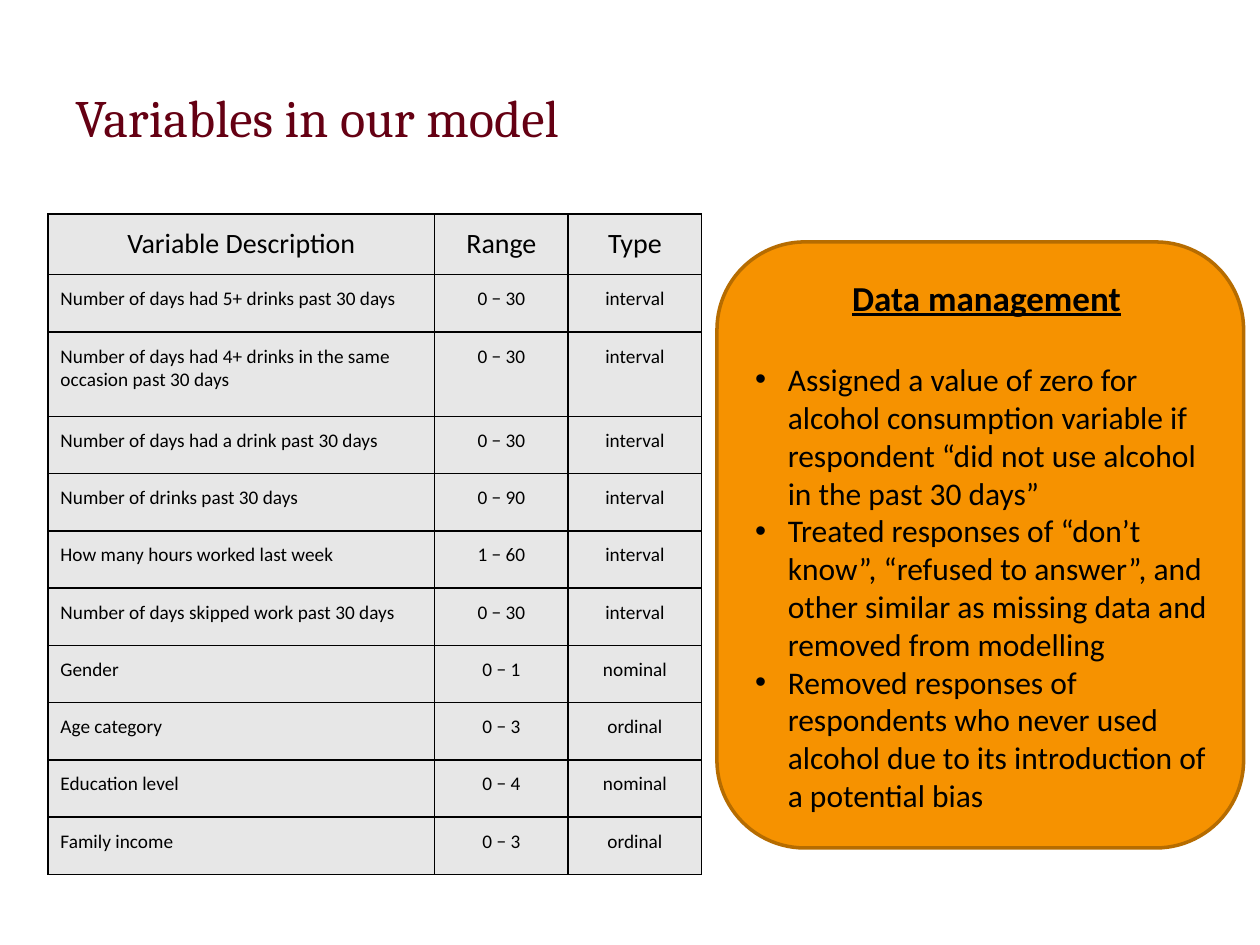
"""Build a slide listing model variables beside data management notes."""
from dataclasses import dataclass

from lxml.etree import SubElement
from pptx import Presentation
from pptx.dml.color import RGBColor
from pptx.enum.shapes import MSO_SHAPE
from pptx.enum.text import MSO_ANCHOR, PP_ALIGN
from pptx.oxml.ns import qn
from pptx.util import Inches, Pt

COLORS = {
    "title": "650013",
    "text": "000000",
    "cell": "E7E7E7",
    "border": "000000",
    "panel": "F69200",
    "panel_line": "B66C00",
}


@dataclass
class Variable:
    description: str
    span: str
    kind: str
    height: float = (5.24 - 0.48 - 0.67) / 9
    size: int = 11


VARIABLES = [
    Variable("Variable Description", "Range", "Type", 0.48, 16),
    Variable("Number of days had 5+ drinks past 30 days", "0 − 30", "interval"),
    Variable("Number of days had 4+ drinks in the same occasion past 30 days",
             "0 − 30", "interval", 0.67),
    Variable("Number of days had a drink past 30 days", "0 − 30", "interval"),
    Variable("Number of drinks past 30 days", "0 − 90", "interval"),
    Variable("How many hours worked last week", "1 − 60", "interval"),
    Variable("Number of days skipped work past 30 days", "0 − 30", "interval"),
    Variable("Gender", "0 − 1", "nominal"),
    Variable("Age category", "0 − 3", "ordinal"),
    Variable("Education level", "0 − 4", "nominal"),
    Variable("Family income", "0 − 3", "ordinal"),
]
COLUMN_WIDTHS = [3.07, 1.06, 1.06]
NOTES = [
    "Assigned a value of zero for alcohol consumption variable if respondent "
    "“did not use alcohol in the past 30 days”",
    "Treated responses of “don’t know”, “refused to answer”, and other similar "
    "as missing data and removed from modelling",
    "Removed responses of respondents who never used alcohol due to its "
    "introduction of a potential bias",
]


def color(name: str) -> RGBColor:
    return RGBColor.from_string(COLORS[name])


def write(para, text: str, size: int, align=PP_ALIGN.LEFT, font: str = "Calibri",
          ink: str = "text", strong: bool = False) -> None:
    para.text = text
    para.alignment = align
    for span in para.runs:
        span.font.name = font
        span.font.size = Pt(size)
        span.font.color.rgb = color(ink)
        span.font.bold = strong
        span.font.underline = strong


def add_borders(cell) -> None:
    properties = cell._tc.get_or_add_tcPr()
    for position, side in enumerate(("lnL", "lnR", "lnT", "lnB")):
        line = SubElement(properties, qn(f"a:{side}"), w=str(Pt(1)))
        fill = SubElement(line, qn("a:solidFill"))
        SubElement(fill, qn("a:srgbClr"), val=COLORS["border"])
        properties.insert(position, line)


def add_bullet(para) -> None:
    properties = para._p.get_or_add_pPr()
    properties.set("marL", str(Inches(0.26)))
    properties.set("indent", str(Inches(-0.26)))
    SubElement(properties, qn("a:buFont"), typeface="Arial")
    SubElement(properties, qn("a:buChar"), char="•")


def add_title(page) -> None:
    box = page.shapes.add_textbox(Inches(0.5), Inches(0.3), Inches(9), Inches(1.25))
    frame = box.text_frame
    frame.word_wrap = True
    frame.vertical_anchor = MSO_ANCHOR.MIDDLE
    write(frame.paragraphs[0], "Variables in our model", 30, font="Cambria", ink="title")


def add_variables(page) -> None:
    table = page.shapes.add_table(
        len(VARIABLES), len(COLUMN_WIDTHS),
        Inches(0.38), Inches(1.7), Inches(5.2), Inches(5.24)).table
    for column, width in zip(table.columns, COLUMN_WIDTHS):
        column.width = Inches(width)
    for index, (row, variable) in enumerate(zip(table.rows, VARIABLES)):
        row.height = Inches(variable.height)
        texts = (variable.description, variable.span, variable.kind)
        for place, (cell, text) in enumerate(zip(row.cells, texts)):
            cell.margin_left = cell.margin_right = Inches(0.1)
            cell.margin_top = cell.margin_bottom = Inches(0.1)
            cell.fill.solid()
            cell.fill.fore_color.rgb = color("cell")
            add_borders(cell)
            align = PP_ALIGN.CENTER if index == 0 or place else PP_ALIGN.LEFT
            write(cell.text_frame.paragraphs[0], text, variable.size, align)


def add_notes(page) -> None:
    panel = page.shapes.add_shape(
        MSO_SHAPE.ROUNDED_RECTANGLE,
        Inches(5.69), Inches(1.92), Inches(4.18), Inches(4.81))
    panel.shadow.inherit = False
    panel.fill.solid()
    panel.fill.fore_color.rgb = color("panel")
    panel.line.color.rgb = color("panel_line")
    panel.line.width = Pt(2)
    frame = panel.text_frame
    frame.word_wrap = True
    frame.vertical_anchor = MSO_ANCHOR.MIDDLE
    frame.margin_left, frame.margin_right = Inches(0.1), Inches(0)
    heading = frame.paragraphs[0]
    write(heading, "Data management", 20, PP_ALIGN.CENTER, strong=True)
    heading.space_after = Pt(24)
    for note in NOTES:
        para = frame.add_paragraph()
        write(para, note, 18)
        add_bullet(para)


def main() -> None:
    deck = Presentation()
    deck.slide_width, deck.slide_height = Inches(10), Inches(7.5)
    page = deck.slides.add_slide(deck.slide_layouts[6])
    add_title(page)
    add_variables(page)
    add_notes(page)
    deck.save("out.pptx")


main()
